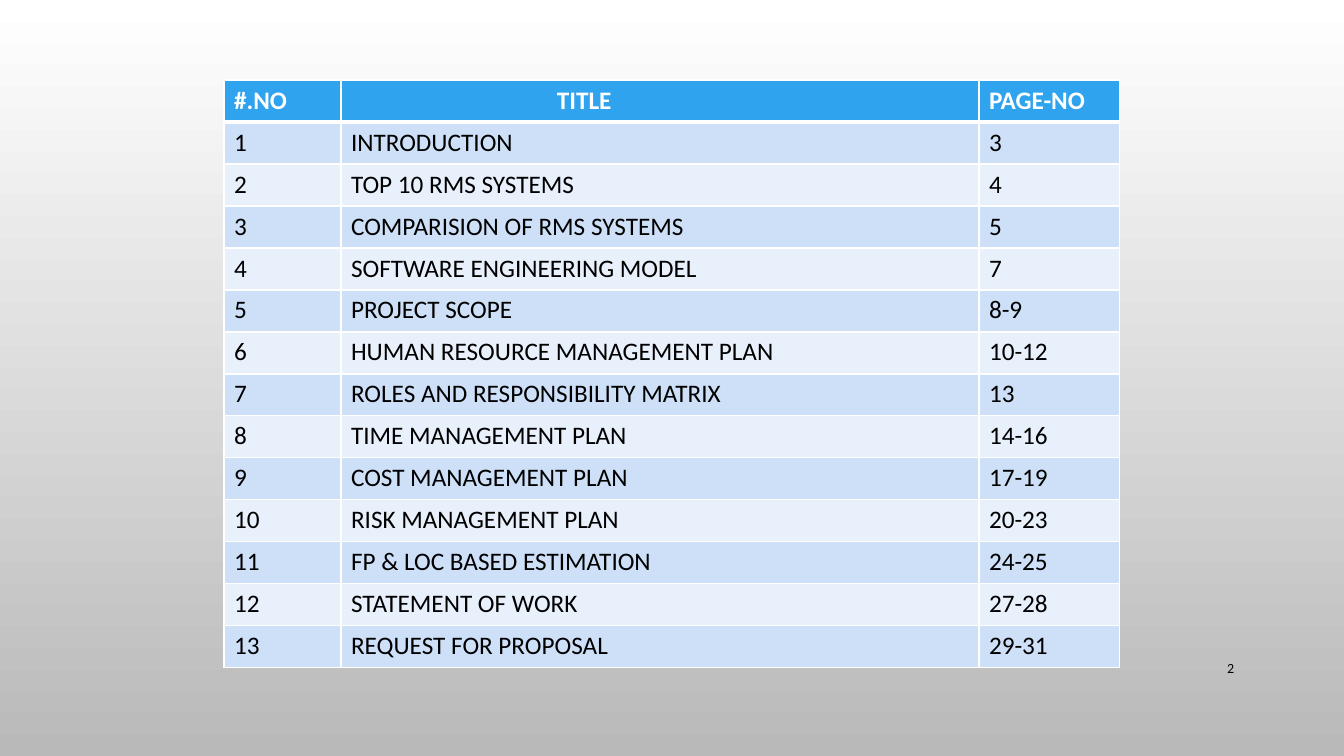
from dataclasses import dataclass

from lxml.etree import SubElement
from pptx import Presentation
from pptx.dml.color import RGBColor
from pptx.enum.text import MSO_ANCHOR, PP_ALIGN
from pptx.oxml.ns import qn
from pptx.slide import Slide
from pptx.table import _Cell
from pptx.text.text import TextFrame
from pptx.util import Emu, Pt

COLOURS = {
    "white": "FFFFFF",
    "black": "000000",
    "grey": "B9B9B9",
    "header": "2FA3EE",
    "odd": "CDE0F8",
    "even": "E8F0FC",
}
COLUMN_WIDTHS = (117, 638, 141)
ROW_HEIGHT = 42
TITLE_INDENT = 216


@dataclass(frozen=True)
class Entry:
    number: str
    title: str
    pages: str

    def texts(self) -> tuple[str, str, str]:
        return self.number, self.title, self.pages


HEADER = Entry("#.NO", "TITLE", "PAGE-NO")
TOPICS = (
    ("INTRODUCTION", "3"),
    ("TOP 10 RMS SYSTEMS", "4"),
    ("COMPARISION OF RMS SYSTEMS", "5"),
    ("SOFTWARE ENGINEERING MODEL", "7"),
    ("PROJECT SCOPE", "8-9"),
    ("HUMAN RESOURCE MANAGEMENT PLAN", "10-12"),
    ("ROLES AND RESPONSIBILITY MATRIX", "13"),
    ("TIME MANAGEMENT PLAN", "14-16"),
    ("COST MANAGEMENT PLAN", "17-19"),
    ("RISK MANAGEMENT PLAN", "20-23"),
    ("FP & LOC BASED ESTIMATION", "24-25"),
    ("STATEMENT OF WORK", "27-28"),
    ("REQUEST FOR PROPOSAL", "29-31"),
)
ENTRIES = [HEADER] + [
    Entry(str(number), title, pages)
    for number, (title, pages) in enumerate(TOPICS, start=1)
]


def px(length: int) -> Emu:
    return Emu(round(length * 914400 / 100.8))


def colour(name: str) -> RGBColor:
    return RGBColor.from_string(COLOURS[name])


def write_text(frame: TextFrame, text: str, size: int, ink: str,
               bold: bool = False, align: PP_ALIGN = PP_ALIGN.LEFT) -> None:
    para = frame.paragraphs[0]
    para.alignment = align
    span = para.add_run()
    span.text = text
    for name, value in {"name": "Calibri", "size": Pt(size), "bold": bold}.items():
        setattr(span.font, name, value)
    span.font.color.rgb = colour(ink)


def draw_borders(cell: _Cell, top: int, bottom: int) -> None:
    properties = cell._tc.get_or_add_tcPr()
    for side, width in {"L": 1, "R": 1, "T": top, "B": bottom}.items():
        line = SubElement(properties, qn(f"a:ln{side}"), w=str(Pt(width)))
        solid = SubElement(line, qn("a:solidFill"))
        SubElement(solid, qn("a:srgbClr"), val=COLOURS["white"])


def draw_cell(cell: _Cell, text: str, row: int) -> None:
    is_header = row == 0
    draw_borders(cell, top=3 if row == 1 else 1, bottom=3 if is_header else 1)
    cell.fill.solid()
    band = "odd" if row % 2 else "even"
    cell.fill.fore_color.rgb = colour("header" if is_header else band)
    ink = "white" if is_header else "black"
    write_text(cell.text_frame, text, 18, ink, bold=is_header)


def draw_contents(page: Slide) -> None:
    table = page.shapes.add_table(
        len(ENTRIES), len(COLUMN_WIDTHS), px(224), px(80),
        px(sum(COLUMN_WIDTHS)), px(ROW_HEIGHT * len(ENTRIES)),
    ).table
    for column, width in zip(table.columns, COLUMN_WIDTHS):
        column.width = px(width)
    for row, entry in enumerate(ENTRIES):
        table.rows[row].height = px(ROW_HEIGHT)
        for column, text in enumerate(entry.texts()):
            draw_cell(table.cell(row, column), text, row)
    table.cell(0, 1).margin_left = px(TITLE_INDENT)


def draw_background(page: Slide) -> None:
    fill = page.background.fill
    fill.gradient()
    fill.gradient_angle = 270
    for stop, name in zip(fill.gradient_stops, ("white", "grey")):
        stop.color.rgb = colour(name)


def draw_page_number(page: Slide) -> None:
    box = page.shapes.add_textbox(px(1159), px(648), px(85), px(40))
    frame = box.text_frame
    frame.word_wrap = True
    frame.vertical_anchor = MSO_ANCHOR.MIDDLE
    write_text(frame, "2", 10, "black", align=PP_ALIGN.RIGHT)


def main() -> None:
    deck = Presentation()
    deck.slide_width, deck.slide_height = px(1344), px(756)
    page = deck.slides.add_slide(deck.slide_layouts[6])
    draw_background(page)
    draw_contents(page)
    draw_page_number(page)
    deck.save("out.pptx")


if __name__ == "__main__":
    main()
